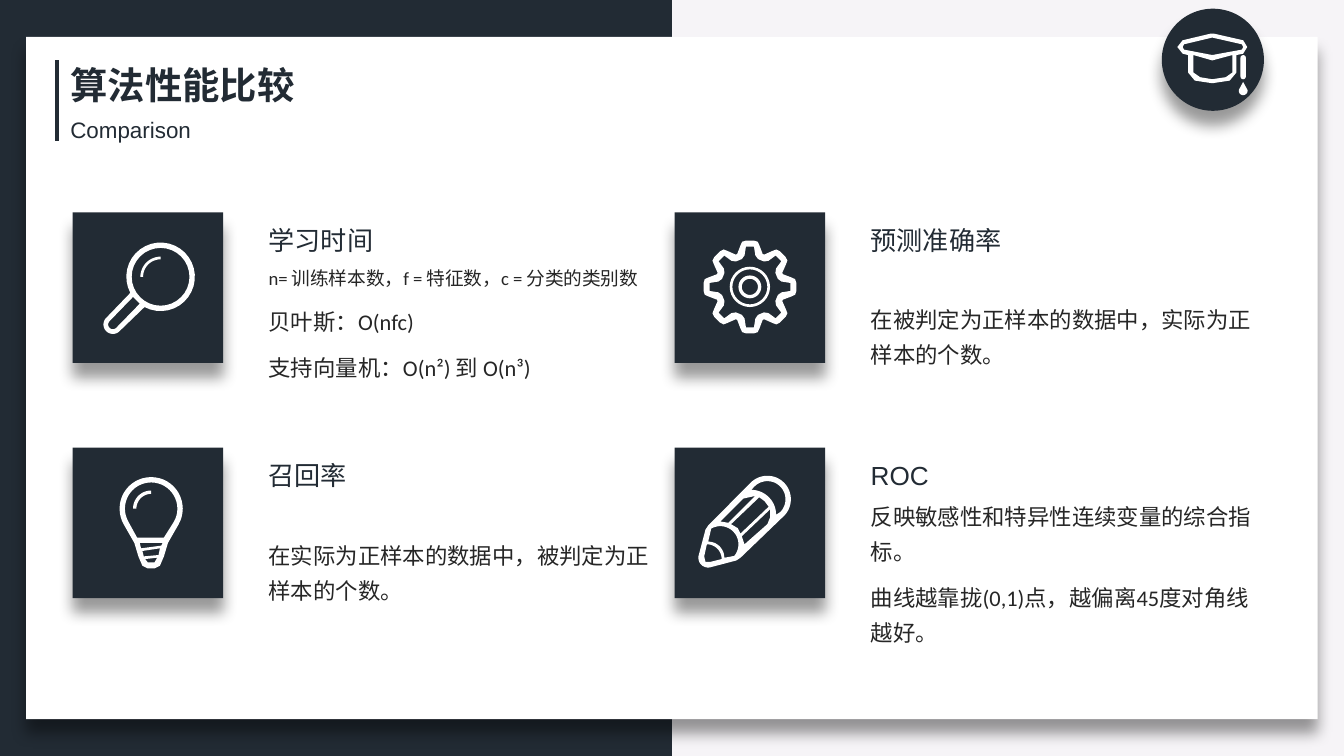
from math import cos, radians, sin

from lxml import etree
from pptx import Presentation
from pptx.dml.color import RGBColor
from pptx.enum.shapes import MSO_CONNECTOR, MSO_SHAPE
from pptx.enum.text import MSO_ANCHOR, MSO_AUTO_SIZE
from pptx.oxml import parse_xml
from pptx.oxml.ns import qn
from pptx.util import Inches, Pt

RECT, OVAL, PILL = MSO_SHAPE.RECTANGLE, MSO_SHAPE.OVAL, MSO_SHAPE.ROUNDED_RECTANGLE
STRAIGHT = MSO_CONNECTOR.STRAIGHT
BOTTOM = MSO_ANCHOR.BOTTOM
GROW = MSO_AUTO_SIZE.SHAPE_TO_FIT_TEXT
COLUMNS, ROWS = 100, 56.25
NAVY, WHITE, PALE, INK = "222B34", "FFFFFF", "F6F4F7", "262626"
CJK = "Noto Sans CJK SC"
SHADOW = (
    '<a:outerShdw xmlns:a="http://schemas.openxmlformats.org/drawingml/2006/main" '
    'blurRad="101600" dist="101600" dir="5400000" algn="t" rotWithShape="0">'
    '<a:srgbClr val="000000"><a:alpha val="40000"/></a:srgbClr></a:outerShdw>'
)


def color(code):
    return RGBColor.from_string(code)


def grid(*cells):
    return [Inches(cell / 10) for cell in cells]


def arc(cx, cy, radius, start=0, end=360, steps=32):
    angles = [radians(start + (end - start) * i / steps) for i in range(steps + 1)]
    return [(cx + radius * cos(a), cy + radius * sin(a)) for a in angles]


def glint(cx, cy, outer, inner):
    return [arc(cx, cy, outer, 180, 270) + arc(cx, cy, inner, 270, 180)]


def teeth(cx, cy, half):
    profile = [(-x, y) for x, y in half] + half[::-1]
    turns = [radians(45 * i) for i in range(8)]
    return [(cx + x * cos(t) + y * sin(t), cy + x * sin(t) - y * cos(t))
            for t in turns for x, y in profile]


def write(paragraph, words, size=12, font="Calibri", ink=INK, bold=False, spacing=None, before=0):
    run = paragraph.add_run()
    run.text = words
    run.font.size, run.font.bold, run.font.name = Pt(size), bold, font
    run.font.color.rgb = color(ink)
    etree.SubElement(run.font._element, qn("a:ea")).set("typeface", CJK)
    if spacing:
        paragraph.line_spacing = spacing
    if before:
        paragraph.space_before = Pt(before)


class Deck:
    """Draws styled elements on the current slide, measured in grid cells."""

    def __init__(self):
        self.file = Presentation()
        self.file.slide_width, self.file.slide_height = grid(COLUMNS, ROWS)
        self.slide = self.file.slides.add_slide(self.file.slide_layouts[6])
        self.shapes = self.slide.shapes
        self.slide.background.fill.solid()
        self.slide.background.fill.fore_color.rgb = color(PALE)

    def paint(self, shape, fill, raised=False):
        shape.fill.solid()
        shape.fill.fore_color.rgb = color(fill)
        shape.line.fill.background()
        shape.shadow.inherit = False
        if raised:
            shape._element.spPr.find(qn("a:effectLst")).append(parse_xml(SHADOW))
        return shape

    def panel(self, kind, box, fill, raised=False):
        return self.paint(self.shapes.add_shape(kind, *grid(*box)), fill, raised)

    def rule(self, ends, weight):
        line = self.shapes.add_connector(STRAIGHT, *grid(*ends))
        line.line.color.rgb, line.line.width = color(NAVY), Pt(weight)
        etree.SubElement(line._element.spPr, qn("a:effectLst"))

    def icon(self, contours):
        first, *_ = contours
        builder = self.shapes.build_freeform(*grid(*first[0]))
        for number, contour in enumerate(contours):
            start, *rest = [grid(*point) for point in contour]
            if number:
                builder.move_to(*start)
            builder.add_line_segments(rest, close=True)
        self.paint(builder.convert_to_shape(), WHITE)

    def heading(self, box, words, **style):
        frame = self.shapes.add_textbox(*grid(*box)).text_frame
        frame.word_wrap, frame.auto_size = False, GROW
        write(frame.paragraphs[0], words, ink=NAVY, **style)

    def body(self, box, lines):
        frame = self.shapes.add_textbox(*grid(*box)).text_frame
        frame.word_wrap, frame.vertical_anchor = True, BOTTOM
        for number, (words, size) in enumerate(lines):
            paragraph = frame.add_paragraph() if number else frame.paragraphs[0]
            write(paragraph, words, size, spacing=1.3, before=6 if number else 0)


MAGNIFIER = [
    arc(11.95, 20.6, 2.55, 152, 478) + arc(8.4, 24.15, 0.7, 45, 225),
    arc(11.95, 20.6, 2.15),
    [(9.9, 22.1), (10.4, 22.6)] + arc(8.4, 24.15, 0.35, 45, 225),
]
GEAR = [
    teeth(55.8, 21.35, [(0.95, 2.45), (0.7, 3.1), (0.58, 3.36), (0.3, 3.45)]),
    teeth(55.8, 21.35, [(0.9, 1.95), (0.6, 2.08), (0.4, 2.35), (0.3, 3)]),
]
BULB = [
    arc(11.25, 37.85, 2.35, 150, 390)
    + [(12.5, 40.4), (12.2, 41.4), (11.9, 42.1), (11.5, 42.3),
       (11, 42.3), (10.6, 42.1), (10.3, 41.4), (10, 40.4)],
    arc(11.25, 37.85, 1.95, 150, 390) + [(12.2, 40), (10.2, 40)],
    [(10.4, 40.4), (12.1, 40.4), (12, 40.6), (10.5, 40.8)],
    [(10.6, 41), (11.9, 40.8), (11.8, 41.3), (10.7, 41.4)],
    [(10.8, 41.6), (11.7, 41.5), (11.5, 41.85), (11, 41.85)],
]
PENCIL = [
    arc(57.1, 37.15, 1.75, 225, 405) + [(55.1, 41.5), (54.8, 41.7)]
    + arc(52.7, 41.5, 0.73, 80, 190) + [(52.5, 39.4), (52.7, 39.1)],
    arc(57.1, 37.15, 1.35, 225, 405) + arc(55.9, 38.3, 1.85, 0, -90),
    arc(53.6, 40.5, 1.35, 240, 400) + arc(52.7, 41.5, 1.2, 0, -90),
    arc(52.6, 41.6, 1.1, -90, 0) + [(52.9, 41.8), (52.5, 41.8), (52.4, 41.4)],
    [(54.2, 38.9), (53.6, 38.8), (55.3, 37.1), (56.2, 36.9)],
    [(55.1, 39.7), (54.9, 39.3), (54.4, 39), (56.5, 37), (56.9, 37.3), (57.2, 37.7)],
    [(55.4, 40.5), (55.2, 39.9), (57.3, 37.9), (57.3, 38.5), (57.1, 39)],
]
CAP = [
    [(87.6, 3.5), (88, 3), (90.1, 2.5), (90.3, 2.5), (92.5, 3), (92.8, 3.5),
     (92.5, 4), (92, 4.1), (92, 5.4), (91.5, 6), (90.2, 6.2), (88.9, 6),
     (88.4, 5.4), (88.4, 4.1), (88, 4)],
    [(88, 3.5), (88.1, 3.3), (90.2, 2.8), (92.4, 3.3), (92.5, 3.5), (92.4, 3.7),
     (90.2, 4.1), (88.1, 3.7)],
    [(88.8, 4.1), (90.2, 4.5), (91.7, 4.1), (91.7, 5.4), (91.2, 5.75), (90.2, 5.9),
     (89.3, 5.75), (88.8, 5.4)],
]
TASSEL = [[(92.5, 6.1)] + arc(92.5, 6.75, 0.33, -10, 190)]
METRICS = [
    ("学习时间", 10, 9.95, [("n= 训练样本数，f = 特征数，c = 分类的类别数", 10),
                        ("贝叶斯：O(nfc)", 12), ("支持向量机：O(n²) 到 O(n³)", 12)],
     [MAGNIFIER, glint(11.95, 20.6, 1.5, 1.3)]),
    ("预测准确率", 12, 9, [("在被判定为正样本的数据中，实际为正样本的个数。", 12)],
     [GEAR, [arc(55.8, 21.35, 1.5), arc(55.8, 21.35, 1.3)],
      [arc(55.8, 21.35, 0.85), arc(55.8, 21.35, 0.6)]]),
    ("召回率", 8, 9, [("在实际为正样本的数据中，被判定为正样本的个数。", 12)],
     [BULB, glint(11.25, 37.85, 1.35, 1.1)]),
    ("ROC", 6.5, 12.15, [("反映敏感性和特异性连续变量的综合指标。", 12),
                         ("曲线越靠拢(0,1)点，越偏离45度对角线越好。", 12)], [PENCIL]),
]


def main():
    deck = Deck()
    deck.panel(RECT, (0, 0, COLUMNS / 2, ROWS), NAVY)
    deck.panel(RECT, (1.95, 2.75, 96.1, 50.75), WHITE, raised=True)
    deck.rule((4.25, 4.5, 4.25, 10.5), 2.25)
    deck.panel(OVAL, (86.45, 0.65, 7.6, 7.6), NAVY, raised=True)
    deck.icon(CAP)
    deck.panel(PILL, (92.3, 4.1, 0.4, 1.8), WHITE).adjustments[0] = 0.5
    deck.icon(TASSEL)
    deck.heading((4.25, 4.15, 19, 4.4), "算法性能比较", size=20, font=CJK, bold=True)
    deck.heading((4.25, 8.15, 11.2, 5), "Comparison", font="Arial")
    for number, (name, width, height, lines, icons) in enumerate(METRICS):
        row, column = divmod(number, 2)
        left, top = 5.4 + 44.8 * column, 15.8 + 17.5 * row
        deck.panel(RECT, (left, top, 11.2, 11.2), NAVY, raised=True)
        deck.heading((left + 13.6, top + 0.4, width, 3.4), name, size=14, font="Arial")
        deck.body((left + 13.6, top + 3.1, 31.2, height), lines)
        for contours in icons:
            deck.icon(contours)
    deck.file.save("out.pptx")


if __name__ == "__main__":
    main()
